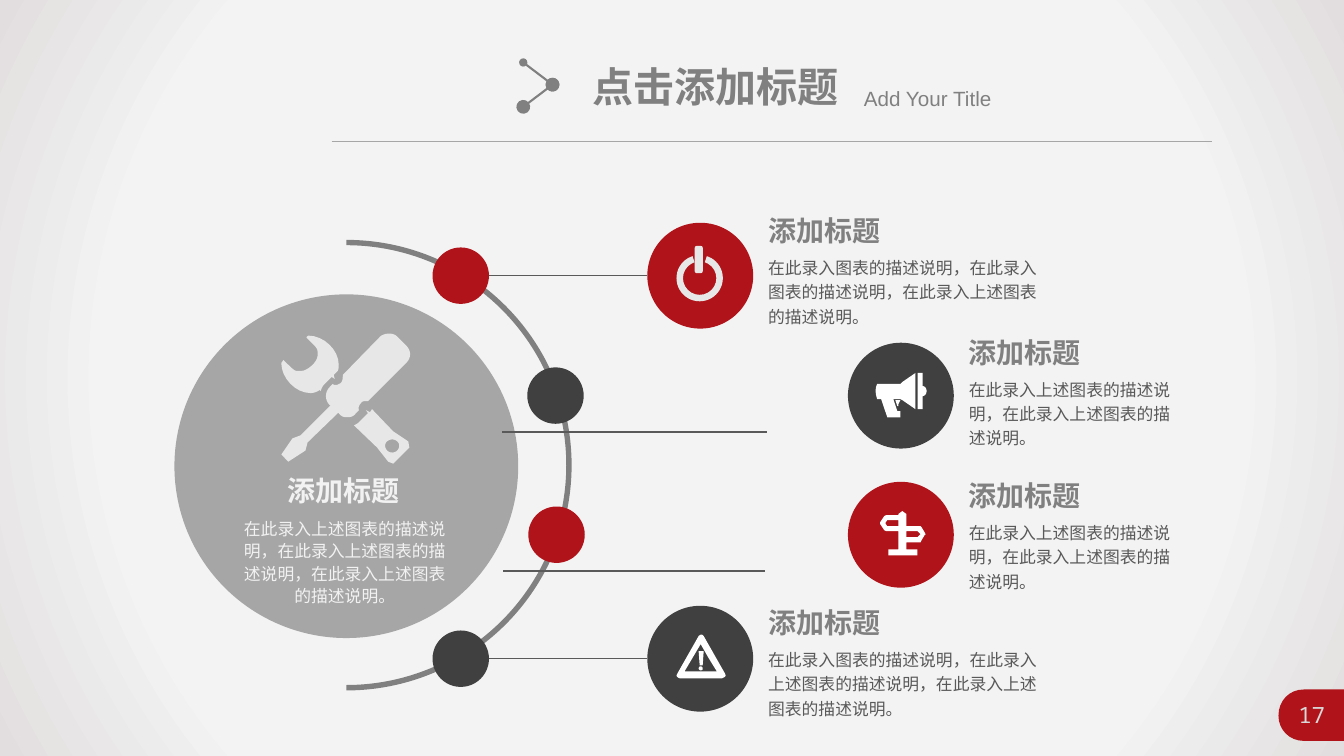
from dataclasses import dataclass

from pptx import Presentation
from pptx import util as u
from pptx.dml.color import RGBColor
from pptx.enum import shapes, text
from pptx.oxml import parse_xml
from pptx.oxml.ns import nsdecls, qn


@dataclass(frozen=True)
class Theme:
    red: str = "B01319"
    dark: str = "404040"
    gray: str = "808080"
    silver: str = "A6A6A6"
    rule: str = "595959"
    pale: str = "F2F2F2"
    tool: str = "E7E7E7"
    number: str = "D9D9D9"
    white: str = "FFFFFF"
    backdrop: tuple = ((0, "F5F5F5"), (73, "F3F3F3"), (100, "E2DEDF"))
    latin: str = "Arial"
    chinese: str = "Noto Sans CJK SC"
    mono: str = "Noto Sans Mono"
    title: float = 29.3
    subtitle: float = 14.7
    heading: float = 20
    page_number: float = 16
    body: float = 12


THEME = Theme()
COLUMNS, ROWS = 1333, 750
CELL = u.Inches(0.01)
DISC, NODE = 105, 56

WRENCH_HANDLE = (
    "M 190 115 L 192 118 185 125 C 183 127 181 129 178 130 L 201 152 212 166 217 168 "
    "233 152 232 146 217 136 196 114 194 117 "
    "M 216 144 C 220 144 223 147 223 150 223 154 220 157 216 157 "
    "212 157 209 154 209 150 209 147 212 144 216 144")
WRENCH_HEAD = (
    "M 152 86 L 156 82 159 84 158 80 161 77 162 76 C 163 74 163 72 163 70 163 55 148 41 133 41 "
    "133 41 131 42 131 43 143 55 142 53 142 61 142 67 132 76 126 76 119 76 121 78 108 65 "
    "108 66 106 68 106 68 106 83 120 98 135 98 138 98 141 97 144 95 L 145 96 "
    "C 146 93 147 91 149 89")
SCREWDRIVER = (
    "M 230 51 L 221 42 C 219 40 216 39 213 39 210 39 206 40 204 42 L 167 80 "
    "C 167 82 167 86 165 88 163 89 162 90 160 90 159 90 158 90 157 89 L 154 92 "
    "C 149 97 149 105 154 110 L 155 110 125 140 117 143 106 159 113 166 130 155 132 147 "
    "162 118 163 118 C 165 121 168 122 171 122 175 122 178 121 180 118 L 183 115 "
    "C 182 113 183 110 185 108 186 106 188 106 190 106 L 192 106 230 68 C 235 63 235 56 230 51")
MEGAPHONE = (
    "M 29 41 L 52 41 54 39 67 30 67 66 54 57 52 56 45 56 49 68 52 68 52 74 39 74 33 56 29 56 "
    "C 27 50 27 45 29 41 M 74 43 C 76 43 78 45 78 48 78 51 76 53 74 53 L 74 66 69 66 69 30 74 30 "
    "M 52 57 L 47 57 49 63 50 63 50 61")
SIGNPOST = (
    "M 50 38 L 39 38 37 41 39 44 50 44 M 58 44 L 72 44 73 45 76 50 77 52 76 53 73 58 72 60 "
    "58 60 58 67 69 67 69 73 40 73 40 67 50 67 50 49 38 49 36 48 32 42 32 40 36 34 38 33 "
    "50 33 50 32 54 29 58 32 M 69 49 L 58 49 58 55 69 55 72 52")
WARNING = (
    "M 56 30 L 77 67 C 78 69 78 70 76 71 L 74 72 33 72 C 31 72 29 70 29 69 L 30 67 51 30 "
    "C 52 29 54 28 55 29 M 51 45 L 52 59 55 59 56 45 "
    "M 53 64 C 55 64 55 63 55 62 55 61 54 60 53 60 52 60 51 61 51 62 51 63 52 64 53 64 "
    "M 61 52 L 53 38 37 65 69 65")
PAGE_TAB = "M 25 0 L 65 0 65 51 25 51 C 11 51 0 40 0 26 0 11 11 0 25 0"


def cells(*lengths):
    return [round(length * CELL) for length in lengths]


def paint(shape, color):
    shape.shadow.inherit = False
    shape.fill.solid()
    shape.fill.fore_color.rgb = RGBColor.from_string(color)
    shape.line.fill.background()
    return shape


def add_preset(page, kind, box, color):
    return paint(page.shapes.add_shape(kind, *cells(*box)), color)


def add_disc(page, left, top, size, color):
    return add_preset(page, shapes.MSO_SHAPE.OVAL, (left, top, size, size), color)


def add_arc(page, box, color, start, end, thickness):
    arc = add_preset(page, shapes.MSO_SHAPE.BLOCK_ARC, box, color)
    for index, value in enumerate((start * 0.6, end * 0.6, thickness)):
        arc.adjustments[index] = value


def bezier(points, steps=8):
    weights = [((1 - t) ** 3, 3 * t * (1 - t) ** 2, 3 * t * t * (1 - t), t ** 3)
               for t in (step / steps for step in range(1, steps + 1))]
    return [tuple(sum(w * point[axis] for w, point in zip(row, points)) for axis in (0, 1))
            for row in weights]


def trace(outline):
    contours, mode, pending = [], "", []
    tokens = iter(outline.split())
    for token in tokens:
        if token.isalpha():
            mode = token
            continue
        point = (int(token), int(next(tokens)))
        if mode == "M":
            contours.append([point])
        elif mode == "L":
            contours[-1].append(point)
        else:
            pending.append(point)
            if len(pending) == 3:
                contours[-1] += bezier([contours[-1][-1], *pending])
                pending = []
    return contours


def add_outline(page, left, top, outline, color):
    contours = [[cells(left + x, top + y) for x, y in contour] for contour in trace(outline)]
    builder = page.shapes.build_freeform(*contours[0][0])
    for index, (start, *rest) in enumerate(contours):
        if index:
            builder.move_to(*start)
        builder.add_line_segments(rest, close=True)
    paint(builder.convert_to_shape(), color)


def add_line(page, start, end, color, width, ends=()):
    line = page.shapes.add_connector(shapes.MSO_CONNECTOR.STRAIGHT, *cells(*start, *end))
    line.line.color.rgb = RGBColor.from_string(color)
    line.line.width = u.Pt(width)
    for tag, size in zip(("headEnd", "tailEnd"), ends):
        line.line._get_or_add_ln().append(parse_xml(
            f'<a:{tag} {nsdecls("a")} type="oval" w="{size}" len="{size}"/>'))
    line._element.spPr.append(parse_xml(f'<a:effectLst {nsdecls("a")}/>'))


def write(box, words, size, color, font=THEME.chinese, bold=False, wrap=True,
          align=text.PP_ALIGN.LEFT, spacing=1.0):
    frame = box.text_frame
    frame.word_wrap = wrap
    frame.auto_size = text.MSO_AUTO_SIZE.NONE
    frame.vertical_anchor = text.MSO_ANCHOR.TOP
    para = frame.paragraphs[0]
    para.text = words
    para.alignment = align
    para.line_spacing = spacing
    para.font.size = u.Pt(size)
    para.font.bold = bold
    para.font.color.rgb = RGBColor.from_string(color)
    para.font.name = font
    para.font._element.append(parse_xml(f'<a:ea {nsdecls("a")} typeface="{THEME.chinese}"/>'))


def add_text(page, box, *args, **options):
    write(page.shapes.add_textbox(*cells(*box)), *args, **options)


def add_heading(page, left, top, color):
    add_text(page, (left, top, 132, 44), "添加标题", THEME.heading, color, bold=True, wrap=False)


def draw_backdrop(page):
    page.background.fill.gradient()
    gradient = next(page._element.iter(qn("a:gradFill")))
    stops = "".join(f'<a:gs pos="{share * 1000}"><a:srgbClr val="{color}"/></a:gs>'
                    for share, color in THEME.backdrop)
    gradient.getparent().replace(gradient, parse_xml(
        f'<a:gradFill {nsdecls("a")} rotWithShape="1"><a:gsLst>{stops}</a:gsLst>'
        '<a:path path="circle"><a:fillToRect l="50000" t="50000" r="50000" b="50000"/></a:path>'
        '</a:gradFill>'))


def draw_header(page, left, top):
    title = page.shapes.title
    title.left, title.top, title.width, title.height = cells(left + 249, top, 267, 59)
    write(title, "点击添加标题", THEME.title, THEME.gray, THEME.latin, bold=True, wrap=False)
    add_text(page, (left + 518, top + 24, 252, 35), "Add Your Title",
             THEME.subtitle, THEME.gray, THEME.latin)
    add_line(page, (left, top + 84), (left + 873, top + 84), THEME.silver, 0.5)
    tip = (left + 219, top + 28)
    add_line(page, (left + 190, top + 6), tip, THEME.gray, 1.5, ("med", "lg"))
    add_line(page, tip, (left + 190, top + 50), THEME.gray, 1.5, ("lg", "lg"))


def draw_hub(page, left, top, size):
    add_arc(page, (left - 53, top - 54, 447, 447), THEME.gray, 270, 90, 0.012)
    add_disc(page, left, top, size, THEME.silver)
    for outline in (WRENCH_HANDLE, WRENCH_HEAD, SCREWDRIVER):
        add_outline(page, left, top, outline, THEME.tool)
    add_heading(page, left + 102, top + 173, THEME.pale)
    add_text(page, (left + 54, top + 216, 230, 99),
             "在此录入上述图表的描述说明，在此录入上述图表的描述说明，在此录入上述图表的描述说明。",
             THEME.body, THEME.pale, align=text.PP_ALIGN.CENTER, spacing=1.1)


def draw_power(page, left, top):
    add_arc(page, (left + 29, top + 32, 46, 46), THEME.tool, 288, 252, 0.14)
    bar = add_preset(page, shapes.MSO_SHAPE.ROUNDED_RECTANGLE,
                     (left + 47, top + 23, 8, 27), THEME.tool)
    bar.adjustments[0] = 0.25


def draw_item(page, left, top, color, icon, node, rule, lift, width, words):
    add_disc(page, node, top + (DISC - NODE) / 2, NODE, color)
    start, end, drop = rule
    middle = top + DISC / 2 + drop
    add_line(page, (start, middle), (end, middle), THEME.rule, 1)
    add_disc(page, left, top, DISC, color)
    if icon:
        add_outline(page, left, top, icon, THEME.white)
    else:
        draw_power(page, left, top)
    add_heading(page, left + 110, top - lift, THEME.gray)
    add_text(page, (left + 110, top - lift + 40, width, 83), words,
             THEME.body, THEME.rule, spacing=1.2)


def draw_page_number(page, left, top):
    add_outline(page, left, top, PAGE_TAB, THEME.red)
    add_text(page, (left + 3, top + 7, 60, 37), "17", THEME.page_number, THEME.number,
             THEME.mono, align=text.PP_ALIGN.CENTER)


def main():
    deck = Presentation()
    deck.slide_width, deck.slide_height = cells(COLUMNS, ROWS)
    page = deck.slides.add_slide(deck.slide_layouts[5])
    draw_backdrop(page)
    draw_header(page, 329, 56)
    draw_page_number(page, 1268, 684)
    draw_hub(page, 173, 292, 341)
    short = "在此录入上述图表的描述说明，在此录入上述图表的描述说明。"
    items = (
        (642, 221, THEME.red, None, 429, (485, 642, 0), 14, 288,
         "在此录入图表的描述说明，在此录入图表的描述说明，在此录入上述图表的描述说明。"),
        (841, 340, THEME.dark, MEGAPHONE, 523, (498, 761, 36), 12, 225, short),
        (841, 478, THEME.red, SIGNPOST, 524, (499, 759, 36), 8, 225, short),
        (642, 601, THEME.dark, WARNING, 429, (485, 642, 0), 5, 288,
         "在此录入图表的描述说明，在此录入上述图表的描述说明，在此录入上述图表的描述说明。"),
    )
    for item in items:
        draw_item(page, *item)
    deck.save("out.pptx")


if __name__ == "__main__":
    main()
